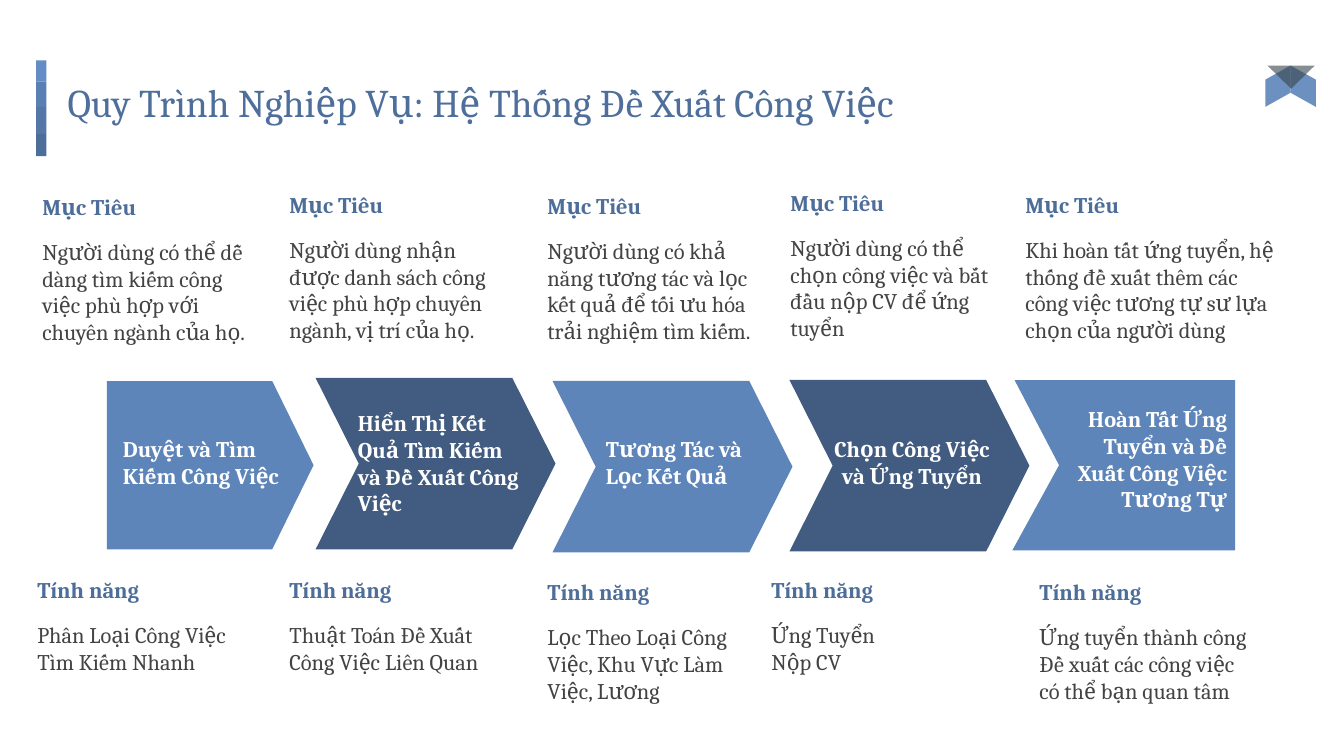
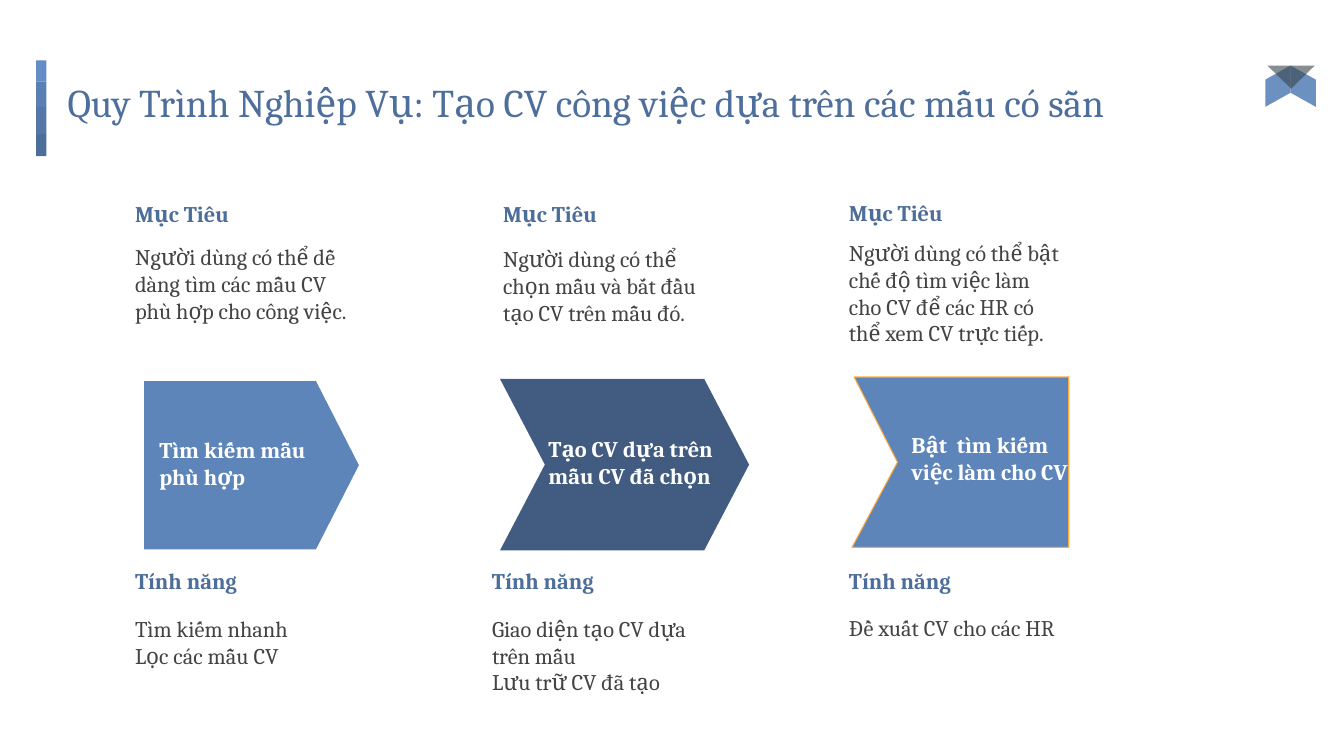
"""Build two process slides for a job recommendation system."""
from dataclasses import dataclass

from lxml import etree
from pptx import Presentation
from pptx.dml.color import RGBColor
from pptx.enum.shapes import MSO_SHAPE
from pptx.enum.text import MSO_ANCHOR, MSO_AUTO_SIZE, PP_ALIGN
from pptx.oxml.ns import qn
from pptx.util import Inches, Pt

LEFT, CENTER, RIGHT = PP_ALIGN.LEFT, PP_ALIGN.CENTER, PP_ALIGN.RIGHT
TOP, MIDDLE = MSO_ANCHOR.TOP, MSO_ANCHOR.MIDDLE
NO_AUTOFIT = MSO_AUTO_SIZE.NONE
RECTANGLE, TRIANGLE = MSO_SHAPE.RECTANGLE, MSO_SHAPE.ISOSCELES_TRIANGLE
PARALLELOGRAM, PENNANT = MSO_SHAPE.PARALLELOGRAM, MSO_SHAPE.FLOWCHART_OFFPAGE_CONNECTOR

GRID_ROWS = 75
TITLE_ONLY = 5
MIDDLE_ARROW = ((0, 0), (0.82, 0), (1, 0.5), (0.82, 1), (0, 1), (0.18, 0.5))
LAST_ARROW = ((0, 1), (0.21, 0.5), (0.01, 0), (1, 0), (1, 1))


@dataclass(frozen=True)
class Theme:
    """Colours, font and type sizes."""
    font: str = "Cambria"
    title_size: int = 28
    text_size: int = 16
    title: RGBColor = RGBColor.from_string("4E6F9B")
    heading: RGBColor = RGBColor.from_string("4E6E9A")
    body: RGBColor = RGBColor.from_string("434343")
    label: RGBColor = RGBColor.from_string("FFFFFF")
    light: RGBColor = RGBColor.from_string("5E85B9")
    dark: RGBColor = RGBColor.from_string("415C80")
    fold: RGBColor = RGBColor.from_string("38444A")
    outline: RGBColor = RGBColor.from_string("FFAB40")
    bands: tuple = tuple(map(RGBColor.from_string, ("648DC6", "5A7FB3", "5477A7", "4E6E9A")))


@dataclass(frozen=True)
class Note:
    """Text under a heading, placed by column and row."""
    column: float
    row: float
    text: str
    width: float = 24.4
    gap: float = 4.4


@dataclass(frozen=True)
class Step:
    """One arrow of the process with its goal and features."""
    label: str
    label_box: tuple
    arrow_box: tuple
    goal: Note
    features: Note
    align: PP_ALIGN = LEFT
    outlined: bool = False


class Deck:
    """Holds the style and the current slide."""

    def __init__(self, theme):
        self.theme = theme
        self.presentation = Presentation()
        self.presentation.slide_width = Inches(13.33)
        self.presentation.slide_height = Inches(7.5)
        self.cell = self.presentation.slide_height / GRID_ROWS
        self.layout = self.presentation.slide_layouts[TITLE_ONLY]
        self.slide = None

    def emu(self, *cells):
        """Turn grid cells into lengths."""
        return [round(count * self.cell) for count in cells]

    def add_slide(self, title):
        """Start a slide and set its title."""
        first = self.slide is None
        self.slide = self.presentation.slides.add_slide(self.layout)
        if first:
            self.decorate_layout()
        heading = self.slide.shapes.title
        heading.left, heading.top, heading.width, heading.height = self.emu(5.4, 6.5, 123.4, 8.4)
        self.fill_frame(heading.text_frame, title, self.theme.title, size=self.theme.title_size)

    def fill_frame(self, frame, text, color, size=None, bold=False, align=LEFT, anchor=TOP):
        """Fill a text frame in one style."""
        frame.word_wrap = True
        frame.auto_size = NO_AUTOFIT
        frame.vertical_anchor = anchor
        frame.margin_left = frame.margin_right = frame.margin_top = frame.margin_bottom = Inches(0.13)
        frame.text = text
        for paragraph in frame.paragraphs:
            paragraph.alignment = align
            paragraph.font.name = self.theme.font
            paragraph.font.size = Pt(size or self.theme.text_size)
            paragraph.font.bold = bold
            paragraph.font.color.rgb = color

    def text(self, box, text, color, **style):
        """Add a text box."""
        frame = self.slide.shapes.add_textbox(*self.emu(*box)).text_frame
        self.fill_frame(frame, text, color, **style)

    def paint(self, shape, color, alpha=None, outline=None):
        """Set fill, line and shadow of a shape."""
        shape.shadow.inherit = False
        shape.fill.solid()
        shape.fill.fore_color.rgb = color
        if alpha:
            tint = next(shape.element.spPr.iter(qn("a:srgbClr")))
            etree.SubElement(tint, qn("a:alpha")).set("val", str(alpha * 1000))
        if outline:
            shape.line.color.rgb = outline
            shape.line.width = Pt(0.75)
        else:
            shape.line.fill.background()

    def preset(self, kind, box, color, alpha=None, turn=0):
        """Add a preset shape that fills the box after turning."""
        left, top, width, height = box
        if turn % 180:
            shift = (width - height) / 2
            left, top, width, height = left + shift, top - shift, height, width
        shape = self.slide.shapes.add_shape(kind, *self.emu(left, top, width, height))
        shape.rotation = turn
        self.paint(shape, color, alpha)
        return shape

    def outline_arrow(self, box, points, color, outline):
        """Add an arrow whose points are shares of its box."""
        left, top, width, height = box
        corners = [self.emu(left + x * width, top + y * height) for x, y in points]
        builder = self.slide.shapes.build_freeform(*corners[0])
        builder.add_line_segments(corners[1:], close=True)
        self.paint(builder.convert_to_shape(), color, outline=outline)

    def decorate_layout(self):
        """Put the title bands and the ribbon on the shared layout."""
        ornaments = []
        row = 6
        for color, height in zip(self.theme.bands, (2.1, 2.5, 2.7, 2.2)):
            ornaments.append(self.preset(RECTANGLE, (3.6, row, 1, height), color))
            row += height
        for column, flipped in ((128, False), (125.5, True)):
            wing = self.preset(PARALLELOGRAM, (column, 6.5, 2.5, 4.1), self.theme.light, 91, 90)
            wing.adjustments[0] = 0.56
            if flipped:
                wing.element.spPr.find(qn("a:xfrm")).set("flipH", "1")
            ornaments.append(wing)
        ornaments.append(self.preset(TRIANGLE, (125.7, 6.5, 4.7, 2.3), self.theme.fold, 60, 180))
        for number, ornament in enumerate(ornaments, start=100):
            ornament.element.nvSpPr.cNvPr.set("id", str(number))
            self.layout.shapes.element.append(ornament.element)

    def note(self, heading, note):
        """Add a heading with its text below."""
        self.text((note.column, note.row, 23.3, 4.6), heading, self.theme.heading, bold=True)
        self.text((note.column, note.row + note.gap, note.width, 11.2), note.text, self.theme.body)

    def process(self, title, steps):
        """Add a slide with a chain of steps."""
        self.add_slide(title)
        for index, step in enumerate(steps):
            color = self.theme.dark if index % 2 else self.theme.light
            if index == 0:
                self.preset(PENNANT, step.arrow_box, color, turn=270)
            else:
                points = LAST_ARROW if index == len(steps) - 1 else MIDDLE_ARROW
                outline = self.theme.outline if step.outlined else None
                self.outline_arrow(step.arrow_box, points, color, outline)
            self.text((*step.label_box, 8.8), step.label, self.theme.label,
                      bold=True, align=step.align, anchor=MIDDLE)
            self.note("Mục Tiêu", step.goal)
            self.note("Tính năng", step.features)


RECOMMENDATION_STEPS = (
    Step("Duyệt và Tìm Kiếm Công Việc", (10.9, 41.4, 18.3), (10.6, 37.8, 20.5, 16.7),
         Note(2.9, 17.9, "Người dùng có thể dễ dàng tìm kiếm công việc phù hợp với chuyên ngành của họ."),
         Note(2.4, 55.9, "Phân Loại Công Việc\nTìm Kiếm Nhanh")),
    Step("Hiển Thị Kết Quả Tìm Kiếm và Đề Xuất Công Việc",
         (34.2, 41.5, 18.8), (31.3, 37.5, 23.8, 17),
         Note(27.4, 17.7, "Người dùng nhận được danh sách công việc phù hợp chuyên ngành, vị trí của họ."),
         Note(27.4, 55.9, "Thuật Toán Đề Xuất Công Việc Liên Quan")),
    Step("Tương Tác và Lọc Kết Quả", (58.8, 41.4, 18.3), (54.8, 37.8, 23.8, 17),
         Note(53, 17.8, "Người dùng có khả năng tương tác và lọc kết quả để tối ưu hóa trải nghiệm tìm kiếm."),
         Note(53, 56.1, "Lọc Theo Loại Công Việc, Khu Vực Làm Việc, Lương")),
    Step("Chọn Công Việc và Ứng Tuyển", (80.5, 41.4, 19.9), (78.3, 37.7, 23.8, 17),
         Note(77.1, 17.5, "Người dùng có thể chọn công việc và bắt đầu nộp CV để ứng tuyển"),
         Note(75.2, 55.9, "Ứng Tuyển\nNộp CV", 27.6), align=CENTER),
    Step("Hoàn Tất Ứng Tuyển và Đề Xuất Công Việc Tương Tự",
         (103.2, 41.1, 19.8), (100.4, 37.7, 22.1, 16.9),
         Note(100.4, 17.7, "Khi hoàn tất ứng tuyển, hệ thống đề xuất thêm các công việc tương tự "
              "sư lựa chọn của người dùng", 27.4),
         Note(101.8, 56.1, "Ứng tuyển thành công\nĐề xuất các công việc có thể bạn quan tâm"),
         align=RIGHT),
)

TEMPLATE_STEPS = (
    Step("Tìm kiếm mẫu phù hợp", (14.5, 41.5, 19), (14.3, 37.8, 21.3, 16.7),
         Note(12.1, 18.6, "Người dùng có thể dễ dàng tìm các mẫu CV phù hợp cho công việc.", 23.9, 4.2),
         Note(12.1, 55, "Tìm kiếm nhanh\vLọc các mẫu CV", 23.6, 4.7)),
    Step("Tạo CV dựa trên mẫu CV đã chọn", (53.1, 41.4, 19), (49.6, 37.6, 24.7, 17),
         Note(48.6, 18.6, "Người dùng có thể chọn mẫu và bắt đầu tạo CV trên mẫu đó.", 23.9),
         Note(47.5, 55, "Giao diện tạo CV dựa trên mẫu\nLưu trữ CV đã tạo", 25.1, 4.7)),
    Step("Bật  tìm kiếm việc làm cho CV", (89.1, 41, 19), (84.5, 37.4, 21.5, 16.9),
         Note(82.9, 18.5, "Người dùng có thể bật chế độ tìm việc làm cho CV để các HR có thể "
              "xem CV trực tiếp.", 23.9, 3.9),
         Note(82.9, 55, "Đề xuất CV cho các HR", 25.1, 4.6), outlined=True),
)


def main():
    """Build and save the deck."""
    deck = Deck(Theme())
    deck.process("Quy Trình Nghiệp Vụ: Hệ Thống Đề Xuất Công Việc", RECOMMENDATION_STEPS)
    deck.process("Quy Trình Nghiệp Vụ: Tạo CV công việc dựa trên các mẫu có sẵn", TEMPLATE_STEPS)
    deck.presentation.save("out.pptx")


if __name__ == "__main__":
    main()
